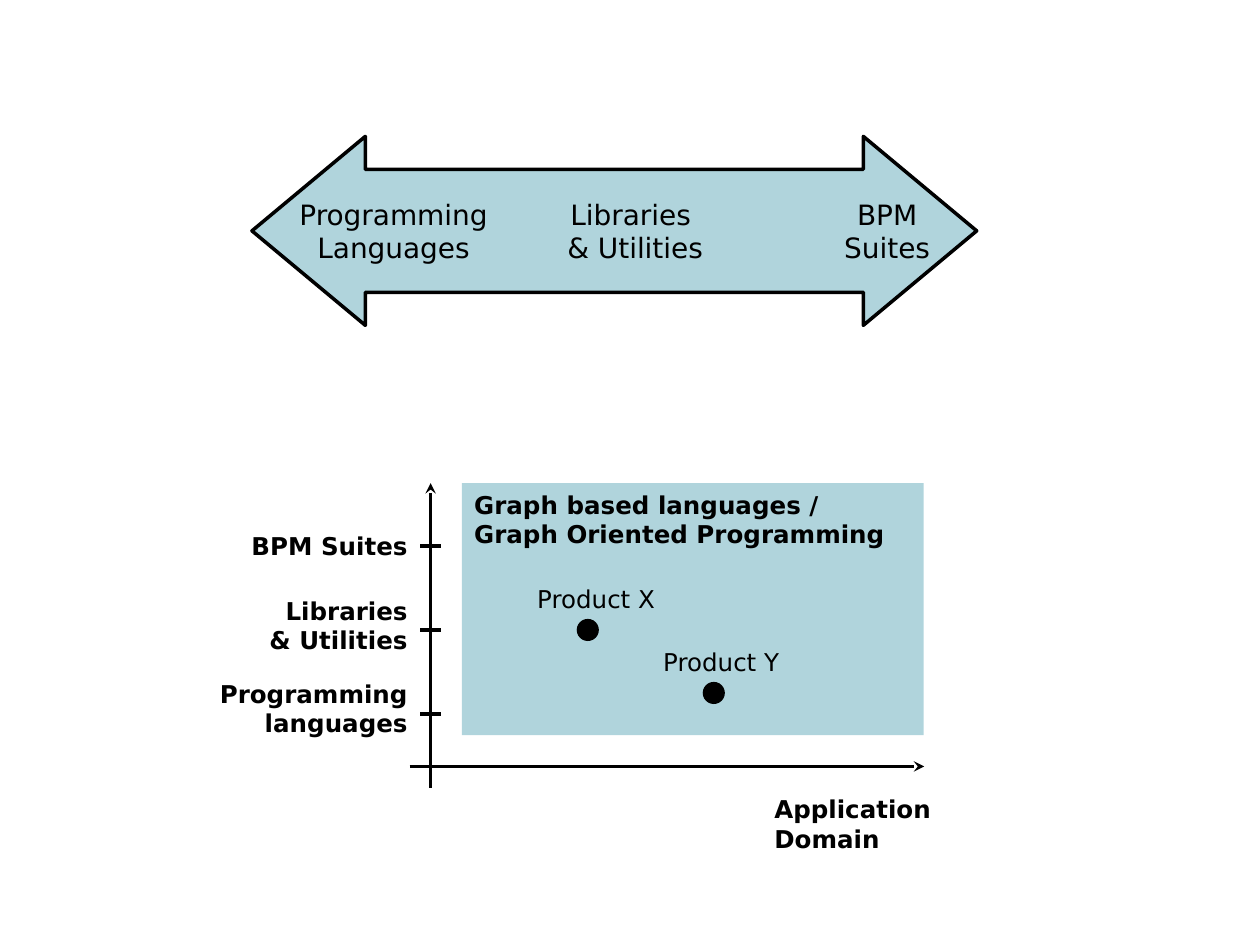
from dataclasses import dataclass

import pptx
import pptx.dml.color
import pptx.enum.dml
import pptx.enum.shapes
import pptx.enum.text
import pptx.oxml
import pptx.oxml.ns
import pptx.util

Cm = pptx.util.Cm
Align = pptx.enum.text.PP_ALIGN
Anchor = pptx.enum.text.MSO_ANCHOR
Preset = pptx.enum.shapes.MSO_SHAPE

COLORS = {"ink": "000000", "panel": "B0D4DC"}
FONT = "DejaVu Sans"
ARROW_LABEL = {"size": pptx.util.Pt(16), "bold": False}
HEADING = {"size": pptx.util.Pt(14), "bold": True}
PRODUCT_LABEL = {"size": pptx.util.Pt(14), "bold": False}


@dataclass
class Box:
    """Place and size in centimetres."""
    left: float
    top: float
    width: float
    height: float

    def lengths(self) -> list:
        return [Cm(n) for n in (self.left, self.top, self.width, self.height)]


@dataclass
class Label:
    text: str
    box: Box
    font: dict
    align: Align = Align.LEFT
    anchor: Anchor = Anchor.TOP
    indent: float = 0.25


@dataclass
class Tick:
    text: str
    y: float
    label_top: float
    label_height: float


@dataclass
class Product:
    name: str
    left: float
    top: float


def color(name: str) -> pptx.dml.color.RGBColor:
    return pptx.dml.color.RGBColor.from_string(COLORS[name])


def draw_label(slide, label: Label) -> None:
    frame = slide.shapes.add_textbox(*label.box.lengths()).text_frame
    frame_format = {
        "word_wrap": True, "vertical_anchor": label.anchor,
        "margin_left": Cm(label.indent), "margin_right": Cm(0.25),
        "margin_top": Cm(0.13), "margin_bottom": Cm(0.13),
    }
    for key, value in frame_format.items():
        setattr(frame, key, value)
    paragraph = frame.paragraphs[0]
    paragraph.text = label.text
    paragraph.alignment = label.align
    for run in paragraph.runs:
        for key, value in {"name": FONT, **label.font}.items():
            setattr(run.font, key, value)
        run.font.color.rgb = color("ink")


def draw_shape(slide, preset: Preset, box: Box, fill: str, line_width: float = 0):
    shape = slide.shapes.add_shape(preset, *box.lengths())
    shape.shadow.inherit = False
    shape.fill.solid()
    shape.fill.fore_color.rgb = color(fill)
    if line_width:
        shape.line.color.rgb = color("ink")
        shape.line.width = pptx.util.Pt(line_width)
    else:
        shape.line.fill.background()
    return shape


def draw_line(slide, x1: float, y1: float, x2: float, y2: float, arrow: bool = False) -> None:
    line = slide.shapes.add_connector(
        pptx.enum.shapes.MSO_CONNECTOR.STRAIGHT, Cm(x1), Cm(y1), Cm(x2), Cm(y2))
    line.line.color.rgb = color("ink")
    line.line.width = pptx.util.Pt(2)
    if arrow:
        head = pptx.oxml.parse_xml(f'<a:tailEnd {pptx.oxml.ns.nsdecls("a")} type="stealth"/>')
        line.line._get_or_add_ln().append(head)
    line._element.spPr.append(
        pptx.oxml.parse_xml(f'<a:effectLst {pptx.oxml.ns.nsdecls("a")}/>'))


def draw_spectrum(slide) -> None:
    """Double arrow from programming languages to suites."""
    arrow = draw_shape(slide, Preset.LEFT_RIGHT_ARROW, Box(5.08, 2.75, 14.61, 3.81), "panel", 2)
    arrow.adjustments[0], arrow.adjustments[1] = 0.65, 0.6
    stages = [("Programming\vLanguages", 5.5), ("Libraries \v& Utilities", 10.37),
              ("BPM\vSuites", 15.45)]
    for text, left in stages:
        draw_label(slide, Label(text, Box(left, 3.81, 4.87, 1.69), ARROW_LABEL,
                                Align.CENTER, Anchor.MIDDLE))


def draw_domain_map(slide) -> None:
    """Two axes with products placed on a panel."""
    axis_x, axis_y = 8.68, 15.45
    draw_line(slide, 8.26, axis_y, 18.63, axis_y, arrow=True)
    draw_line(slide, axis_x, 15.88, axis_x, 9.74, arrow=True)

    # Panel with its heading
    draw_shape(slide, Preset.RECTANGLE, Box(9.31, 9.74, 9.31, 5.08), "panel")
    draw_label(slide, Label("Graph based languages / \vGraph Oriented Programming",
                            Box(9.31, 9.74, 9.1, 1.45), HEADING))

    # Products, each a name above a dot
    for product in (Product("Product X", 10.58, 11.64), Product("Product Y", 13.12, 12.91)):
        draw_label(slide, Label(product.name, Box(product.left, product.top, 4.02, 0.86),
                                PRODUCT_LABEL))
        draw_shape(slide, Preset.OVAL, Box(product.left + 1.06, product.top + 0.85, 0.42, 0.42),
                   "ink", 0.75)

    # Axis captions and ticks
    draw_label(slide, Label("Application\vDomain", Box(15.03, 15.88, 4.66, 1.45), HEADING,
                            indent=0.58))
    ticks = [Tick("Programming languages", 14.39, 13.55, 1.45),
             Tick("Libraries\v& Utilities", 12.7, 11.88, 1.45),
             Tick("BPM Suites", 11.01, 10.58, 0.86)]
    for tick in ticks:
        draw_label(slide, Label(tick.text, Box(3.6, tick.label_top, 4.87, tick.label_height),
                                HEADING, Align.RIGHT))
        draw_line(slide, axis_x - 0.21, tick.y, axis_x + 0.21, tick.y)


def main() -> None:
    deck = pptx.Presentation()
    deck.slide_width, deck.slide_height = Cm(25.4), Cm(19.05)
    slide = deck.slides.add_slide(deck.slide_layouts[6])
    draw_spectrum(slide)
    draw_domain_map(slide)
    deck.save("out.pptx")


if __name__ == "__main__":
    main()
